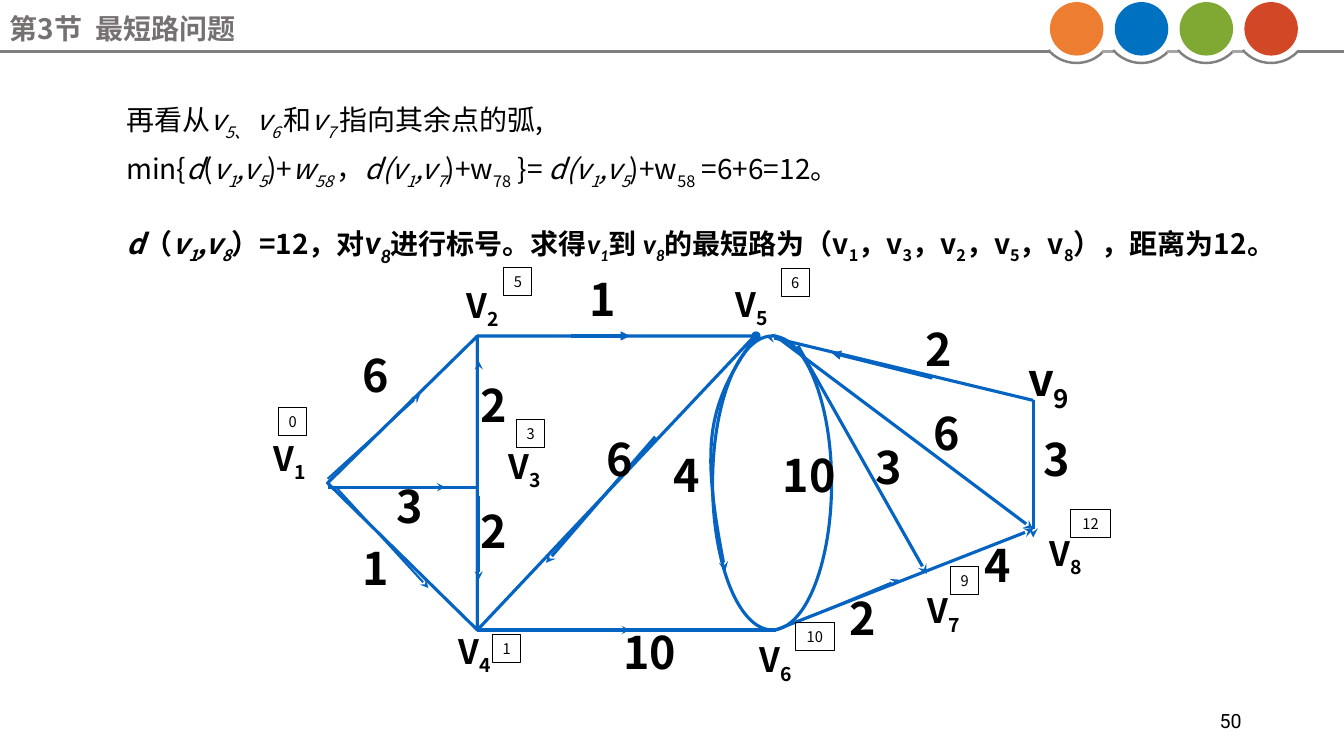
from dataclasses import dataclass

from lxml import etree
from pptx import Presentation
from pptx.dml.color import RGBColor
from pptx.enum import shapes as sh, text as tx
from pptx.oxml import ns
from pptx.util import Pt


@dataclass(frozen=True)
class Theme:
    """Colours, fonts and type sizes."""
    ink: str = "000000"
    edge: str = "0563C1"
    head: str = "767171"
    rule: str = "808080"
    link: str = "A6A6A6"
    dots: tuple = ("ED7D31", "0070C0", "80A933", "D24726")
    sans: str = "Noto Sans CJK SC"
    alt: str = "Calibri"
    num: str = "Roboto"
    body: float = 20
    node: float = 24
    cost: float = 32
    page: float = 14
    tag: float = 10.5


T = Theme()
KIND = sh.MSO_SHAPE
MID = tx.MSO_ANCHOR.MIDDLE
CENTER = tx.PP_ALIGN.CENTER

LINES = [
    [("再看从", ""), ("v", "i"), ("5、", "i_"), (" v", "i"), ("6 ", "i_"), ("和", ""),
     ("v", "i"), ("7 ", "i_"), ("指向其余点的弧,", "")],
    [("min{", ""), ("d", "i"), ("(", ""), ("v", "i"), ("1", "i_"), (",v", "i"), ("5", "i_"),
     (")+", ""), ("w", "i"), ("58 ", "i_"), ("，", ""), ("d(v", "i"), ("1", "i_"),
     (",v", "i"), ("7", "i_"), (")+w", ""), ("78", "_"), (" }= ", ""), ("d(v", "i"),
     ("1", "i_"), (",v", "i"), ("5", "i_"), (")+w", ""), ("58", "_"), (" =6+6=12。", "")],
    [("d", "i"), ("（", ""), ("v", "i"), ("1", "i_"), (",v", "i"), ("8", "i_"),
     ("）=12，对", ""), ("v", "icl"), ("8", "icl_"), ("进行标号。求得", ""), ("v", "ic"),
     ("1", "ic_"), ("到", ""), (" v", "ic"), ("8", "ic_"), ("的最短路为（v", ""), ("1", "_"),
     ("，v", ""), ("3", "_"), ("，v", ""), ("2", "_"), ("，v", ""), ("5", "_"),
     ("，v", ""), ("8", "_"), ("），距离为12。", "")],
]
EDGES = [
    (107, 210, 320, 210, 2.25, None), (320, 210, 504, 138, 2.25, "stealth"),
    (504, 46, 504, 144, 2.25, "stealth"), (504, 46, 313, 0, 2.25, "stealth"),
    (320, 0, 504, 138, 2.25, "stealth"), (336, 7, 428, 170, 2.25, "stealth"),
    (0, 108, 108, 108, 2.25, None), (0, 102, 66, 42, 1.5, "stealth"),
    (6, 108, 72, 180, 1.5, "stealth"), (6, 108, 84, 108, 1.5, "stealth"),
    (108, 90, 108, 18, 0.75, "stealth"), (108, 114, 108, 174, 1.5, "stealth"),
    (234, 72, 156, 162, 2.25, "stealth"), (138, 210, 216, 210, 1.5, "stealth"),
    (336, 204, 408, 174, 1.5, "stealth"), (174, 0, 216, 0, 2.25, "triangle"),
    (432, 30, 360, 12, 2.25, "triangle"),
]
BOWS = [((306, 0), (292, 20), (279, 40), (275, 68)),
        ((275, 68), (271, 96), (277, 132), (284, 168))]
COSTS = [
    ("6", 18, 12), ("3", 384, 78), ("6", 426, 54), ("2", 420, -6), ("3", 504, 72),
    ("4", 462, 148), ("10", 204, 210), ("2", 366, 186), ("3", 42, 106), ("1", 18, 150),
    ("2", 102, 34), ("6", 192, 72), ("2", 102, 124), ("4", 240, 84), ("10", 318, 84),
    ("1", 180, -42),
]
NODES = [("V1", -72, 72), ("V2", 66, -37), ("V3", 96, 78), ("V4", 60, 210), ("V5", 258, -38),
         ("V6", 275, 216), ("V7", 395, 181), ("V8", 482, 140), ("v9", 470, 12)]
TAGS = [("0", -35, 51), ("1", 118, 213), ("3", 135, 60), ("5", 126, -49), ("6", 324, -48),
        ("9", 445, 165), ("10", 334, 205), ("12", 531, 124)]


def rgb(hue):
    """Turn a hex string into a colour."""
    return RGBColor.from_string(hue)


def write(para, runs, size=T.body, font=T.sans, hue=T.ink, bold=False, drop=-25,
          align=None, lead=None, before=None):
    """Fill a paragraph; marks are i italic, _ subscript, c other font, l large."""
    para.alignment, para.line_spacing, para.space_before = align, lead, before
    for words, marks in [(runs, "")] if isinstance(runs, str) else runs:
        run = para.add_run()
        run.text = words
        face = T.alt if "c" in marks else font
        run.font.size = Pt(T.node if "l" in marks else size)
        run.font.name, run.font.bold, run.font.italic = face, bold, "i" in marks
        run.font.color.rgb = rgb(hue)
        props = run._r.get_or_add_rPr()
        etree.SubElement(props, ns.qn("a:ea")).set("typeface", T.sans)
        if "_" in marks:
            props.set("baseline", str(drop * 1000))


def label(slide, box, runs, anchor=tx.MSO_ANCHOR.TOP, wrap=True, **form):
    """Place one line of text in a box."""
    frame = slide.shapes.add_textbox(*map(Pt, box)).text_frame
    frame.word_wrap, frame.vertical_anchor = wrap, anchor
    write(frame.paragraphs[0], runs, **form)


def stroke(item, hue, width, head=None, tail=None):
    """Style an outline and its ends."""
    item.line.color.rgb, item.line.width = rgb(hue), Pt(width)
    for end, kind in (("a:headEnd", head), ("a:tailEnd", tail)):
        if kind:
            etree.SubElement(item.line._get_or_add_ln(), ns.qn(end)).set("type", kind)


def link(slide, ends, hue, width, tail=None):
    """Draw a straight line."""
    item = slide.shapes.add_connector(sh.MSO_CONNECTOR.STRAIGHT, *map(Pt, ends))
    stroke(item, hue, width, tail=tail)
    etree.SubElement(item._element.spPr, ns.qn("a:effectLst"))


def form(slide, kind, box, fill=None, hue=None, width=1, turn=0):
    """Draw a preset shape whose box is given as seen after a quarter turn."""
    x, y, w, h = box
    if turn:
        x, y, w, h = x + (w - h) / 2, y + (h - w) / 2, h, w
    item = slide.shapes.add_shape(kind, *map(Pt, (x, y, w, h)))
    item.rotation, item.shadow.inherit = turn, False
    if fill:
        item.fill.solid()
        item.fill.fore_color.rgb = rgb(fill)
    else:
        item.fill.background()
    if hue:
        stroke(item, hue, width)
    else:
        item.line.fill.background()
    return item


def header(slide, x, y, w, h):
    """Draw the title, the rule and the four dots."""
    label(slide, (x, y + 7, 789, 26), "第3节  最短路问题", MID, hue=T.head, bold=True)
    left, step, base = x + 750, 46.3, y + h
    link(slide, (x, base, left, base), T.rule, 1.77)
    for i, hue in enumerate(T.dots):
        dot = left + i * step
        bow = form(slide, KIND.ARC, (dot - 7.5, y - 8, 53, 53), hue=T.rule, width=1.77)
        bow.adjustments[0], bow.adjustments[1] = 25.378, 83.601
        form(slide, KIND.OVAL, (dot, y + 1.5, 38.2, 38.2), fill=hue)
        last = hue == T.dots[-1]
        end = x + w if last else dot + 45.5
        link(slide, (dot + 37.5, base, end, base), T.rule if last else T.link, 1.77)


def prose(slide, x, y, w, h):
    """Write the three paragraphs of the argument."""
    frame = slide.shapes.add_textbox(*map(Pt, (x, y, w, h))).text_frame
    frame.word_wrap = True
    looks = [dict(lead=1.5, drop=-30), dict(lead=Pt(35), drop=-30),
             dict(lead=1.5, before=Pt(5), bold=True)]
    for i, (runs, look) in enumerate(zip(LINES, looks)):
        write(frame.add_paragraph() if i else frame.paragraphs[0], runs, **look)


def curve(slide, x, y):
    """Draw the bent arc from V5 to V6."""
    steps = 12
    dots = []
    for a, b, c, d in BOWS:
        for k in range(steps + 1):
            t = k / steps
            s = 1 - t
            dots.append([Pt(o + s**3 * p + 3 * s * s * t * q + 3 * s * t * t * r + t**3 * e)
                         for o, p, q, r, e in zip((x, y), a, b, c, d)])
    pen = slide.shapes.build_freeform(*dots[0])
    pen.add_line_segments(dots[1:], close=False)
    item = pen.convert_to_shape()
    item.fill.background()
    item.shadow.inherit = False
    stroke(item, T.edge, 2.25, "oval", "stealth")


def graph(slide, x, y, w, h):
    """Draw the network with its weights, nodes and distances."""
    for kind, dx, wide, turn in ((KIND.ISOSCELES_TRIANGLE, 0, 107, 270),
                                 (KIND.RIGHT_TRIANGLE, 107, 198, 90), (KIND.OVAL, 275, 85, 0)):
        form(slide, kind, (x + dx, y, wide, h), hue=T.edge, width=2.25, turn=turn)
    for x1, y1, x2, y2, width, tail in EDGES:
        link(slide, (x + x1, y + y1, x + x2, y + y2), T.edge, width, tail)
    curve(slide, x, y)
    for cost, dx, dy in COSTS:
        label(slide, (x + dx, y + dy, 15 + 20 * len(cost), 40), cost, wrap=False,
              size=T.cost, bold=True, lead=0.8)
    for name, dx, dy in NODES:
        size = T.cost if name == "v9" else T.node
        label(slide, (x + dx, y + dy, 90, 32), [(name[0], ""), (name[1], "_")],
              size=size, bold=True, lead=0.8, align=CENTER)
    for dist, dx, dy in TAGS:
        box = (x + dx, y + dy, 12 + 8 * len(dist), 20)
        frame = form(slide, KIND.RECTANGLE, box, hue=T.ink, width=0.75).text_frame
        frame.margin_left = frame.margin_right = frame.margin_top = frame.margin_bottom = 0
        frame.vertical_anchor = MID
        write(frame.paragraphs[0], dist, size=T.tag, align=CENTER)


def main():
    """Build and save the slide."""
    deck = Presentation()
    deck.slide_width, deck.slide_height = Pt(960), Pt(540)
    slide = deck.slides.add_slide(deck.slide_layouts[6])
    prose(slide, 83, 55.5, 843, 126)
    graph(slide, 234, 240, 504, 210)
    header(slide, 0, 0, 960, 36.7)
    label(slide, (678, 500, 216, 29), "50", MID, size=T.page, font=T.num,
          align=tx.PP_ALIGN.RIGHT)
    deck.save("out.pptx")


if __name__ == "__main__":
    main()
